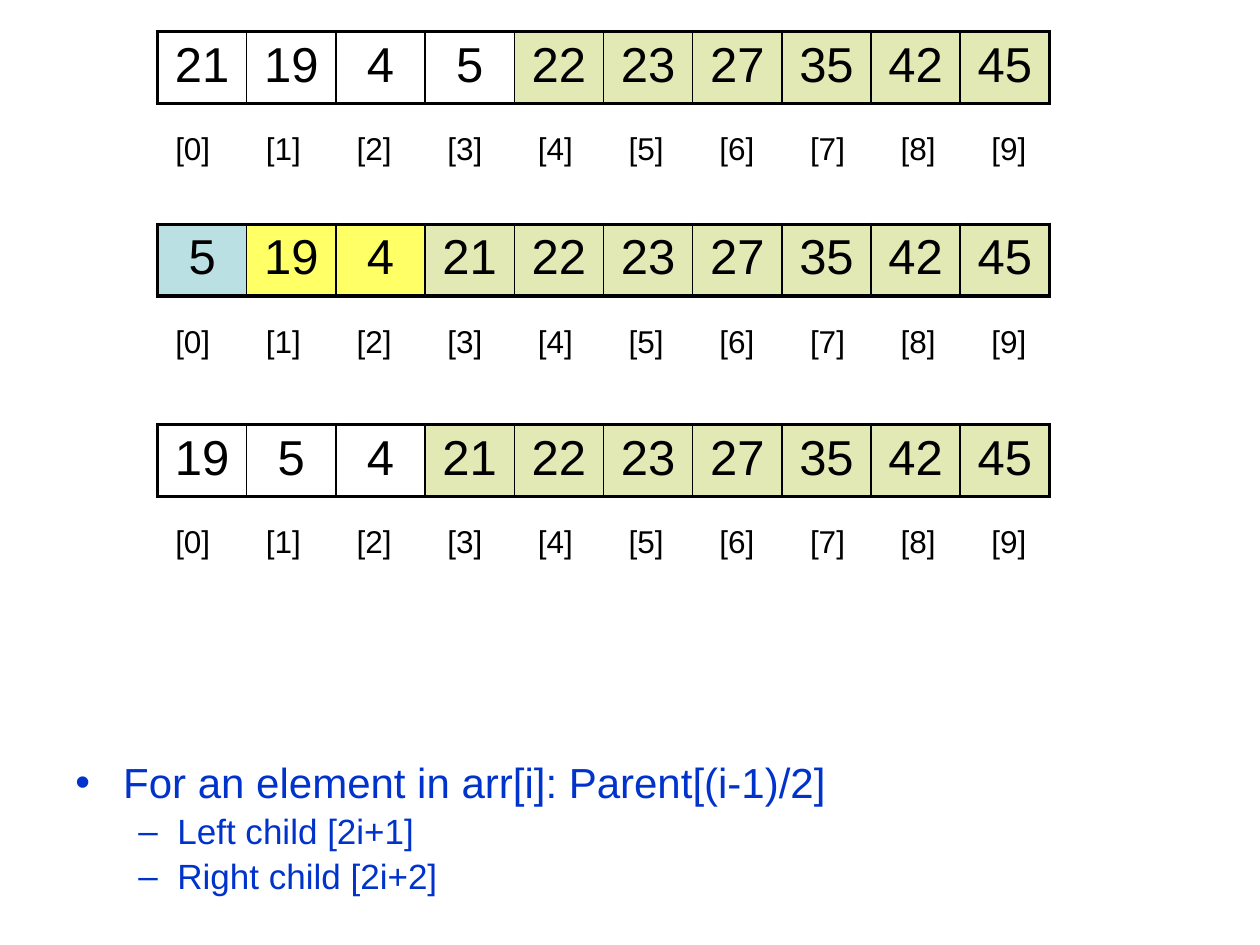
from lxml.etree import SubElement
from pptx import Presentation
from pptx.dml.color import RGBColor
from pptx.enum.text import MSO_ANCHOR, PP_ALIGN
from pptx.oxml.ns import qn
from pptx.util import Inches, Pt

BLACK = RGBColor(0x00, 0x00, 0x00)
BLUE = RGBColor(0x00, 0x33, 0xCC)
GREEN = RGBColor(0xE2, 0xE9, 0xB5)
YELLOW = RGBColor(0xFF, 0xFF, 0x66)
AQUA = RGBColor(0xBB, 0xE0, 0xE3)

FONT = "Arial"
THICK, THIN = Pt(2.25), Pt(1)

HEAP_STEPS = [
    (0.25, [21, 19, 4, 5, 22, 23, 27, 35, 42, 45], [None] * 4 + [GREEN] * 6),
    (1.78, [5, 19, 4, 21, 22, 23, 27, 35, 42, 45], [AQUA, YELLOW, YELLOW] + [GREEN] * 7),
    (3.37, [19, 5, 4, 21, 22, 23, 27, 35, 42, 45], [None] * 3 + [GREEN] * 7),
]
RULES = [
    ("For an element in arr[i]: Parent[(i-1)/2]", 0, "•", 24),
    ("Left child [2i+1]", 1, "–", 20),
    ("Right child [2i+2]", 1, "–", 20),
]
INDENTS = [(0.38, -0.38), (0.81, -0.31)]


def style_font(font, size, color):
    font.name = FONT
    font.size = Pt(size)
    font.bold = False
    font.color.rgb = color


def set_borders(cell, widths):
    properties = cell._tc.get_or_add_tcPr()
    for position, (side, width) in enumerate(zip("LRTB", widths)):
        line = SubElement(properties, qn(f"a:ln{side}"))
        if width:
            line.set("w", str(width))
            fill = SubElement(line, qn("a:solidFill"))
            SubElement(fill, qn("a:srgbClr"), val=str(BLACK))
        else:
            SubElement(line, qn("a:noFill"))
        properties.insert(position, line)


def add_row(slide, left, top, width, height, values, size, anchor, fills, bordered):
    count = len(values)
    table = slide.shapes.add_table(1, count, left, top, width, height).table
    table.first_row = False
    table.horz_banding = False
    for column, (value, color) in enumerate(zip(values, fills)):
        cell = table.cell(0, column)
        cell.vertical_anchor = anchor
        paragraph = cell.text_frame.paragraphs[0]
        paragraph.text = str(value)
        paragraph.alignment = PP_ALIGN.CENTER
        style_font(paragraph.runs[0].font, size, BLACK)
        if color is None:
            cell.fill.background()
        else:
            cell.fill.solid()
            cell.fill.fore_color.rgb = color
        if bordered:
            left_width = THICK if column == 0 else THIN
            right_width = THICK if column == count - 1 else THIN
            set_borders(cell, [left_width, right_width, THICK, THICK])
        else:
            set_borders(cell, [None] * 4)


def add_array(slide, left, top, width, values, fills):
    add_row(slide, left, top, width, Inches(0.57), values, 28,
            MSO_ANCHOR.TOP, fills, True)
    indices = [f"[{index}]" for index in range(len(values))]
    add_row(slide, left - Inches(0.08), top + Inches(0.735), Inches(7.2), Inches(0.4),
            indices, 18, MSO_ANCHOR.MIDDLE, [None] * len(values), False)


def add_rules(slide, left, top, width, height):
    text_frame = slide.shapes.add_textbox(left, top, width, height).text_frame
    text_frame.word_wrap = True
    text_frame.text = "\n".join(text for text, *_ in RULES)
    for paragraph, (_, level, bullet, size) in zip(text_frame.paragraphs, RULES):
        margin, indent = INDENTS[level]
        properties = paragraph._p.get_or_add_pPr()
        properties.set("marL", str(Inches(margin)))
        properties.set("indent", str(Inches(indent)))
        SubElement(properties, qn("a:buFont"), typeface=FONT)
        SubElement(properties, qn("a:buChar"), char=bullet)
        paragraph.level = level
        paragraph.line_spacing = 0.9
        if level:
            paragraph.space_before = Pt(size * 0.2)
        style_font(paragraph.runs[0].font, size, BLUE)


def main():
    presentation = Presentation()
    presentation.slide_width = Inches(10)
    presentation.slide_height = Inches(7.5)
    slide = presentation.slides.add_slide(presentation.slide_layouts[6])
    for top, values, fills in HEAP_STEPS:
        add_array(slide, Inches(1.25), Inches(top), Inches(7.08), values, fills)
    add_rules(slide, Inches(0.5), Inches(6), Inches(9), Inches(1.25))
    presentation.save("out.pptx")


if __name__ == "__main__":
    main()
